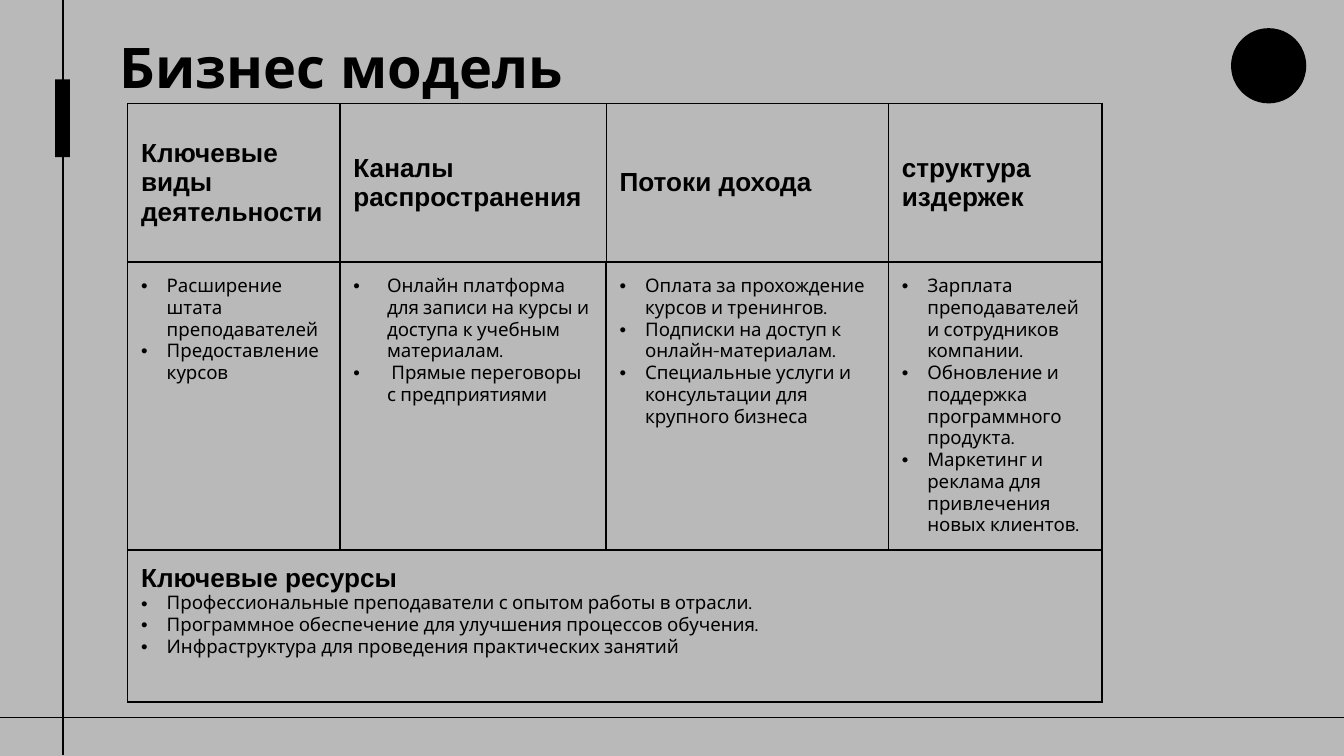
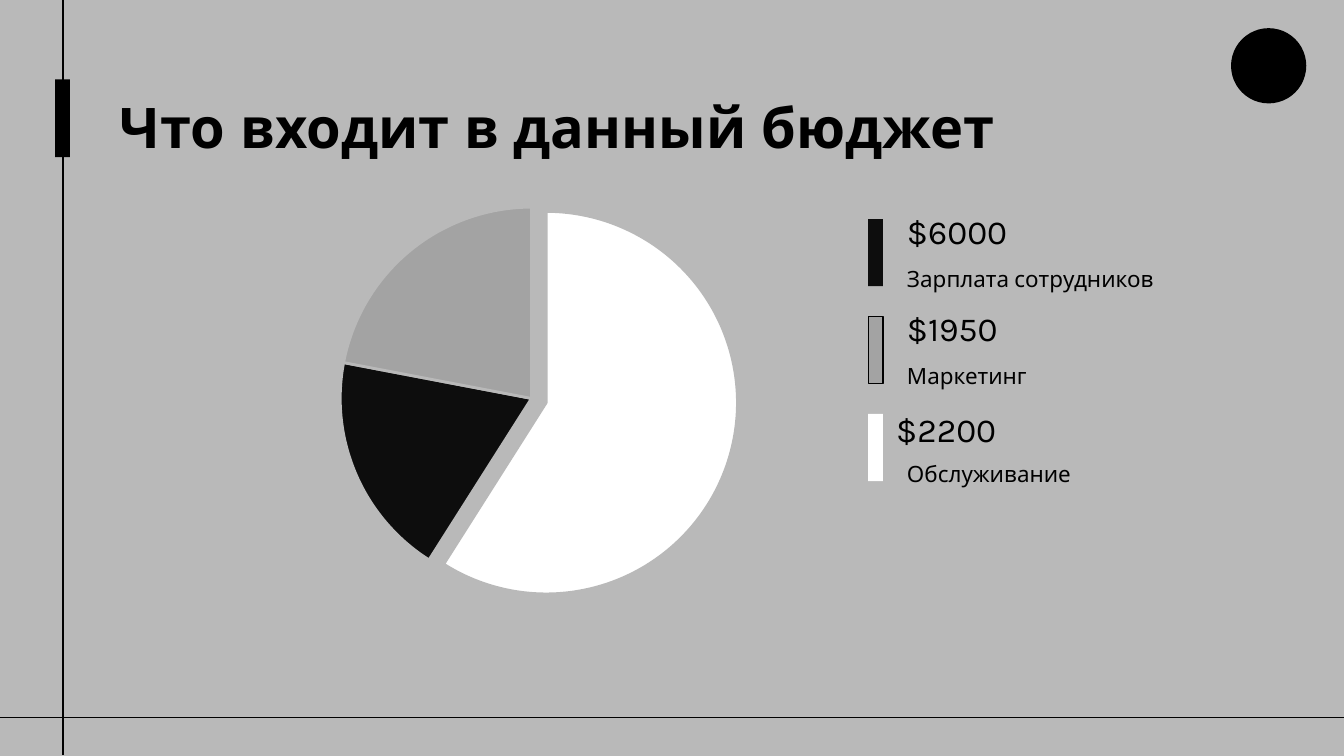
from dataclasses import dataclass
from typing import Sequence

from lxml import etree
from pptx import Presentation, util as u
from pptx.chart.data import CategoryChartData
from pptx.dml.color import RGBColor
from pptx.enum import chart as charts, shapes, text
from pptx.oxml.ns import qn


@dataclass(frozen=True)
class TextStyle:
    size: float
    font: str
    bold: bool = False


@dataclass(frozen=True)
class Theme:
    paper: str = "B9B9B9"
    ink: str = "000000"
    white: str = "FFFFFF"
    charcoal: str = "0D0D0D"
    grey: str = "A3A3A3"
    title: TextStyle = TextStyle(30, "Noto Sans", True)
    heading: TextStyle = TextStyle(14, "Arial", True)
    body: TextStyle = TextStyle(10, "Karla")
    label: TextStyle = TextStyle(12, "Karla")
    amount: TextStyle = TextStyle(18, "Karla")
    chart: TextStyle = TextStyle(10, "Arial")
    thin: float = 0.75
    thick: float = 1
    inset: float = 0.1


THEME = Theme()


@dataclass(frozen=True)
class Box:
    left: float
    top: float
    width: float
    height: float

    def lengths(self) -> list[u.Length]:
        return [u.Inches(value) for value in (self.left, self.top, self.width, self.height)]


@dataclass(frozen=True)
class Line:
    words: str
    style: TextStyle
    indent: float = 0


@dataclass(frozen=True)
class ModelColumn:
    heading: str
    width: float
    points: tuple[str, ...]
    indent: float = 0.19


@dataclass(frozen=True)
class BudgetItem:
    amount: str
    label: str
    colour: str
    outlined: bool = False
    amount_left: float = 6.65
    amount_top: float = 1.57


MODEL = (
    ModelColumn("Ключевые виды деятельности", 1.58, (
        "Расширение штата преподавателей",
        "Предоставление курсов",
    )),
    ModelColumn("Каналы распространения", 1.98, (
        "Онлайн платформа для записи на курсы и доступа к учебным материалам.",
        " Прямые переговоры с предприятиями",
    ), 0.25),
    ModelColumn("Потоки дохода", 2.1, (
        "Оплата за прохождение курсов и тренингов.",
        "Подписки на доступ к онлайн-материалам.",
        "Специальные услуги и консультации для крупного бизнеса",
    )),
    ModelColumn("структура издержек", 1.59, (
        "Зарплата преподавателей и сотрудников компании.",
        "Обновление и поддержка программного продукта.",
        "Маркетинг и реклама для привлечения новых клиентов.",
    )),
)
RESOURCES = ModelColumn("Ключевые ресурсы", 7.24, (
    "Профессиональные преподаватели с опытом работы в отрасли.",
    "Программное обеспечение для улучшения процессов обучения.",
    "Инфраструктура для проведения практических занятий",
))
ROW_HEIGHTS = (1.18, 0.73, 1.13)

BUDGET = (
    BudgetItem("$6000", "Зарплата сотрудников", THEME.charcoal),
    BudgetItem("$1950", "Маркетинг", THEME.grey, outlined=True),
    BudgetItem("$2200", "Обслуживание", THEME.white, amount_left=6.57, amount_top=1.59),
)
SHARES = ((59, THEME.white), (19, THEME.charcoal), (22, THEME.grey))


def rgb(colour: str) -> RGBColor:
    return RGBColor.from_string(colour)


def format_font(font, style: TextStyle) -> None:
    font.size = u.Pt(style.size)
    font.name = style.font
    font.bold = style.bold
    font.color.rgb = rgb(THEME.ink)


def add_bullet(para, indent: float) -> None:
    properties = para._p.get_or_add_pPr()
    properties.set("marL", str(u.Inches(indent)))
    properties.set("indent", str(-u.Inches(indent)))
    colour = etree.SubElement(properties, qn("a:buClr"))
    etree.SubElement(colour, qn("a:srgbClr"), val=THEME.ink)
    etree.SubElement(properties, qn("a:buFont"), typeface="Arial")
    etree.SubElement(properties, qn("a:buChar"), char="•")


def write_lines(frame, lines: Sequence[Line]) -> None:
    frame.text = "\n".join(line.words for line in lines)
    for para, line in zip(frame.paragraphs, lines):
        para.alignment = text.PP_ALIGN.LEFT
        if line.indent:
            add_bullet(para, line.indent)
        for span in para.runs:
            format_font(span.font, line.style)


def set_insets(holder) -> None:
    for side in ("left", "top", "right", "bottom"):
        setattr(holder, f"margin_{side}", u.Inches(THEME.inset))


def write_box(shape, line: Line, anchor=text.MSO_ANCHOR.TOP) -> None:
    frame = shape.text_frame
    write_lines(frame, [line])
    frame.word_wrap = True
    frame.auto_size = text.MSO_AUTO_SIZE.NONE
    frame.vertical_anchor = anchor
    set_insets(frame)


def add_solid(page, kind, box: Box, colour: str, outlined: bool = False) -> None:
    shape = page.shapes.add_shape(kind, *box.lengths())
    shape.shadow.inherit = False
    shape.fill.solid()
    shape.fill.fore_color.rgb = rgb(colour)
    if outlined:
        shape.line.color.rgb = rgb(THEME.ink)
        shape.line.width = u.Pt(THEME.thin)
    else:
        shape.line.fill.background()


def add_rule(page, *ends: float) -> None:
    rule = page.shapes.add_connector(
        shapes.MSO_CONNECTOR.STRAIGHT, *(u.Inches(end) for end in ends))
    rule.line.color.rgb = rgb(THEME.ink)
    rule.line.width = u.Pt(THEME.thin)
    etree.SubElement(rule._element.spPr, qn("a:effectLst"))


def add_page(deck, title: str, title_top: float):
    page = deck.slides.add_slide(deck.slide_layouts[5])
    page.background.fill.solid()
    page.background.fill.fore_color.rgb = rgb(THEME.paper)
    add_solid(page, shapes.MSO_SHAPE.RECTANGLE, Box(0.41, 0.59, 0.11, 0.58), THEME.ink)
    add_rule(page, 0, 5.34, 10, 5.34)
    add_rule(page, 0.47, 0, 0.47, 5.62)
    add_solid(page, shapes.MSO_SHAPE.OVAL, Box(9.16, 0.21, 0.56, 0.56), THEME.ink)
    heading = page.shapes.title
    heading.left, heading.top, heading.width, heading.height = Box(
        0.79, title_top, 8.42, 0.63).lengths()
    write_box(heading, Line(title, THEME.title))
    return page


def set_borders(cell, width: float) -> None:
    properties = cell._tc.get_or_add_tcPr()
    for position, side in enumerate(("lnL", "lnR", "lnT", "lnB")):
        border = etree.Element(qn(f"a:{side}"), w=str(u.Pt(width)))
        fill = etree.SubElement(border, qn("a:solidFill"))
        etree.SubElement(fill, qn("a:srgbClr"), val=THEME.ink)
        properties.insert(position, border)


def bullet_lines(column: ModelColumn) -> list[Line]:
    return [Line(point, THEME.body, column.indent) for point in column.points]


def add_model_table(page) -> None:
    box = Box(0.95, 0.77, RESOURCES.width, 4.5)
    holder = page.shapes.add_table(len(ROW_HEIGHTS), len(MODEL), *box.lengths())
    table = holder.table
    table.first_row = False
    table.horz_banding = False
    for row, height in zip(table.rows, ROW_HEIGHTS):
        row.height = u.Inches(height)
    for index, row in enumerate(table.rows):
        for cell in row.cells:
            cell.fill.background()
            set_insets(cell)
            set_borders(cell, THEME.thick if index else THEME.thin)
    for index, column in enumerate(MODEL):
        table.columns[index].width = u.Inches(column.width)
        header = table.cell(0, index)
        header.vertical_anchor = text.MSO_ANCHOR.MIDDLE
        write_lines(header.text_frame, [Line(column.heading, THEME.heading)])
        write_lines(table.cell(1, index).text_frame, bullet_lines(column))
    resources = table.cell(2, 0)
    resources.merge(table.cell(2, len(MODEL) - 1))
    write_lines(resources.text_frame,
                [Line(RESOURCES.heading, THEME.heading), *bullet_lines(RESOURCES)])
    holder.width, holder.height = u.Inches(box.width), u.Inches(box.height)


def add_budget_pie(page) -> None:
    data = CategoryChartData()
    data.categories = [str(number) for number in range(1, len(SHARES) + 1)]
    data.add_series("Series 1", [share for share, _ in SHARES])
    pie = page.shapes.add_chart(
        charts.XL_CHART_TYPE.PIE, *Box(1.31, 1.29, 5.29, 3.35).lengths(), data).chart
    pie.has_legend = False
    pie.has_title = False
    format_font(pie.font, THEME.chart)
    plot = pie.plots[0]
    plot.vary_by_categories = True
    series = plot.series[0]
    for index, (_, colour) in enumerate(SHARES):
        slice_format = series.points[index].format
        slice_format.fill.solid()
        slice_format.fill.fore_color.rgb = rgb(colour)
        slice_format.line.color.rgb = rgb(THEME.paper)
        slice_format.line.width = u.Pt(1.5)
    first_slice = series._element.find(qn("c:dPt"))
    explosion = etree.Element(qn("c:explosion"), val="8")
    first_slice.find(qn("c:spPr")).addprevious(explosion)


def add_budget_legend(page) -> None:
    step = 1.45 / 2
    for index, item in enumerate(BUDGET):
        drop = index * step
        label = page.shapes.add_textbox(*Box(6.65, 1.87 + drop, 2.51, 0.38).lengths())
        write_box(label, Line(item.label, THEME.label))
        amount = page.shapes.add_textbox(
            *Box(item.amount_left, item.amount_top + drop, 2.51, 0.4).lengths())
        write_box(amount, Line(item.amount, THEME.amount), text.MSO_ANCHOR.BOTTOM)
        add_solid(page, shapes.MSO_SHAPE.RECTANGLE, Box(6.46, 1.63 + drop, 0.11, 0.5),
                  item.colour, item.outlined)


def main() -> None:
    deck = Presentation()
    deck.slide_width = u.Inches(10)
    deck.slide_height = u.Emu(deck.slide_width * 9 // 16)
    add_model_table(add_page(deck, "Бизнес модель", 0.14))
    budget_page = add_page(deck, "Что входит в данный бюджет", 0.59)
    add_budget_pie(budget_page)
    add_budget_legend(budget_page)
    deck.save("out.pptx")


if __name__ == "__main__":
    main()
